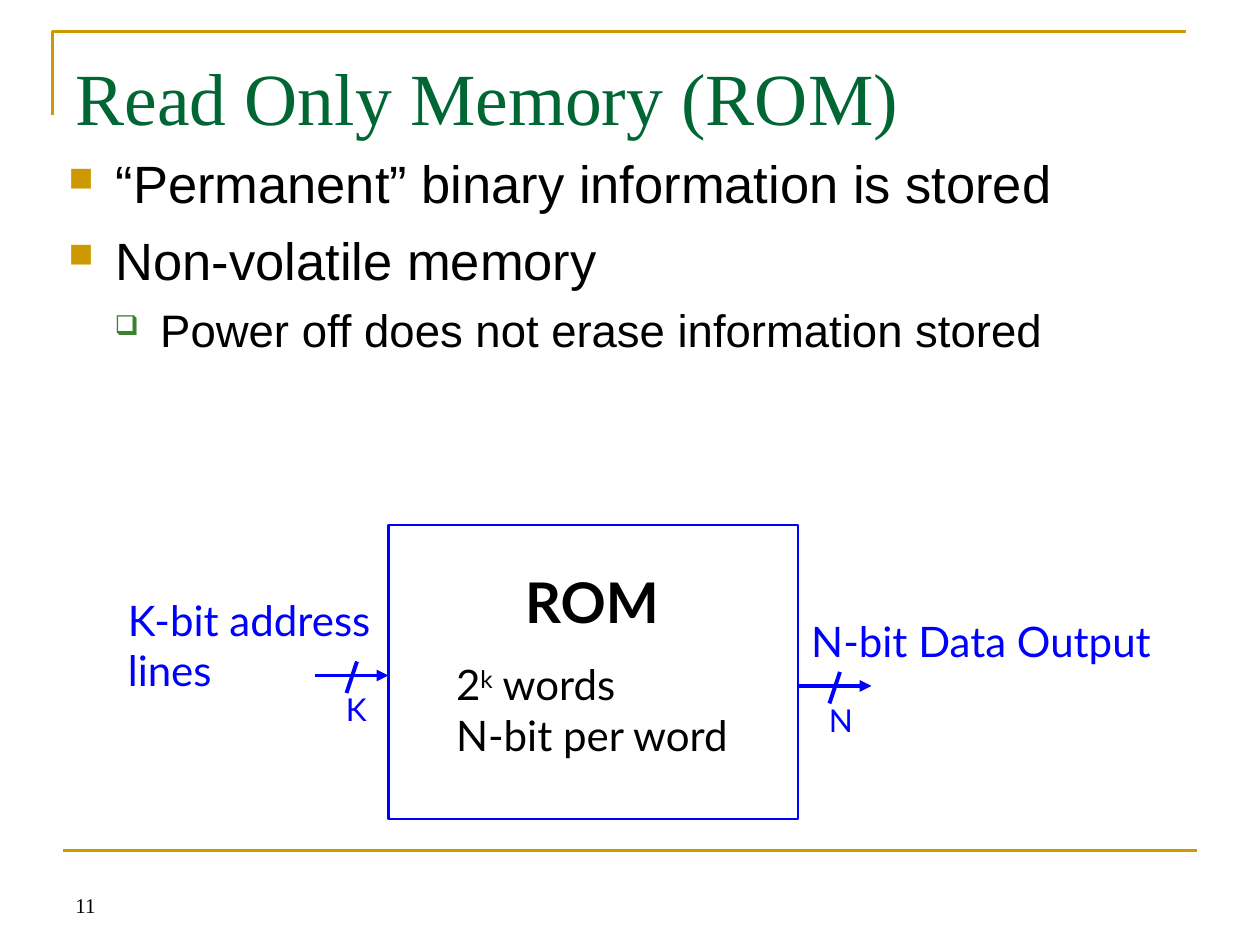
"""Build the Read Only Memory slide with its block diagram."""
from dataclasses import dataclass

from lxml.etree import SubElement
from pptx import Presentation
from pptx.dml.color import RGBColor as RGB
from pptx.enum.shapes import MSO_CONNECTOR as Connector, MSO_SHAPE as Shape
from pptx.enum.text import MSO_ANCHOR as Anchor, MSO_AUTO_SIZE as AutoSize, PP_ALIGN as Align
from pptx.oxml.ns import qn
from pptx.util import Pt


@dataclass(frozen=True)
class Theme:
    gold: str = "CC9900"
    green: str = "006633"
    leaf: str = "3B812F"
    blue: str = "0000FF"
    black: str = "000000"
    serif: str = "Times New Roman"
    sans: str = "Arial"
    diagram: str = "Lato"
    title: float = 42
    bullet: float = 30
    sub_bullet: float = 26
    heading: float = 32
    label: float = 24
    small: float = 18
    number: float = 12
    thin: float = 1.5
    thick: float = 2.25


class SlideBuilder:
    def __init__(self, theme, slide):
        self.theme = theme
        self.slide = slide

    def font(self, paragraph, size, face, color, bold=False):
        for run in paragraph.runs:
            run.font.size = Pt(size)
            run.font.name = face
            run.font.bold = bold
            run.font.color.rgb = RGB.from_string(color)

    def outline(self, shape, color, width):
        shape.line.color.rgb = RGB.from_string(color)
        shape.line.width = Pt(width)

    def title(self, words, left, top, width, height):
        heading = self.slide.shapes.title
        heading.left, heading.top = Pt(left), Pt(top)
        heading.width, heading.height = Pt(width), Pt(height)
        frame = heading.text_frame
        frame.text = words
        frame.auto_size = AutoSize.NONE
        frame.vertical_anchor = Anchor.TOP
        frame.margin_top = Pt(8)
        frame.paragraphs[0].alignment = Align.LEFT
        self.font(frame.paragraphs[0], self.theme.title, self.theme.serif, self.theme.green)

    def text(self, words, left, top, width, height, size, color, face=None, bold=False, wrap=False):
        box = self.slide.shapes.add_textbox(Pt(left), Pt(top), Pt(width), Pt(height))
        frame = box.text_frame
        frame.text = words
        frame.word_wrap = wrap
        for paragraph in frame.paragraphs:
            self.font(paragraph, size, face or self.theme.diagram, color, bold)
        return frame

    def capacity(self, left, top, width, height):
        frame = self.text("2\nN-bit per word", left, top, width, height,
                          self.theme.label, self.theme.black)
        words = frame.paragraphs[0]
        exponent, unit = words.add_run(), words.add_run()
        exponent.text, unit.text = "k", " words"
        self.font(words, self.theme.label, self.theme.diagram, self.theme.black)
        exponent.font._element.set("baseline", "30000")

    def bullets(self, points, left, top, width, height):
        look = self.theme
        levels = (
            (look.bullet, 27, 27, 7.5, "■", look.gold, 65),
            (look.sub_bullet, 52.5, 26, 6.5, "❑", look.leaf, 60),
        )
        frame = self.text("\n".join(words for words, _ in points), left, top, width, height,
                          look.bullet, look.black, look.sans, wrap=True)
        for paragraph, (_, level) in zip(frame.paragraphs, points):
            size, margin, hang, before, mark, color, scale = levels[level]
            paragraph.level = level
            paragraph.space_before = Pt(before)
            self.font(paragraph, size, look.sans, look.black)
            properties = paragraph._p.get_or_add_pPr()
            properties.set("marL", str(Pt(margin)))
            properties.set("indent", str(-Pt(hang)))
            tint = SubElement(properties, qn("a:buClr"))
            SubElement(tint, qn("a:srgbClr"), val=color)
            SubElement(properties, qn("a:buSzPct"), val=str(scale * 1000))
            SubElement(properties, qn("a:buChar"), char=mark)

    def line(self, start, end, color, width, arrow=False):
        stroke = self.slide.shapes.add_connector(
            Connector.STRAIGHT, *(Pt(value) for value in (*start, *end)))
        self.outline(stroke, color, width)
        if arrow:
            SubElement(stroke.line._get_or_add_ln(), qn("a:tailEnd"), type="triangle")
        SubElement(stroke._element.spPr, qn("a:effectLst"))

    def corner(self, left, top, right, bottom):
        pen = self.slide.shapes.build_freeform(Pt(left), Pt(bottom))
        pen.add_line_segments([(Pt(left), Pt(top)), (Pt(right), Pt(top))], close=False)
        frame_line = pen.convert_to_shape()
        frame_line.shadow.inherit = False
        frame_line.fill.background()
        self.outline(frame_line, self.theme.gold, self.theme.thin)

    def block(self, left, top, width, height):
        memory = self.slide.shapes.add_shape(
            Shape.RECTANGLE, Pt(left), Pt(top), Pt(width), Pt(height))
        memory.shadow.inherit = False
        memory.fill.background()
        self.outline(memory, self.theme.blue, self.theme.thin)

    def bus(self, left, middle, bits):
        look = self.theme
        self.line((left, middle), (left + 42, middle), look.blue, look.thick, arrow=True)
        self.line((left + 24, middle - 8), (left + 18, middle + 10), look.blue, look.thick)
        self.text(bits, left + 10.5, middle + 5, 27, 29, look.small, look.blue)


def main():
    theme = Theme()
    deck = Presentation()
    deck.slide_width, deck.slide_height = Pt(720), Pt(540)
    title_only = deck.slide_layouts[5]
    page = SlideBuilder(theme, deck.slides.add_slide(title_only))

    page.corner(30, 18, 678, 66)
    page.line((36, 486), (684, 486), theme.gold, theme.thin)
    number = page.text("11", 36, 492, 168, 36, theme.number, theme.black, theme.serif, wrap=True)
    number.vertical_anchor = Anchor.BOTTOM
    page.title("Read Only Memory (ROM)", 36, 21.5, 648, 90)
    page.bullets([
        ("“Permanent” binary information is stored", 0),
        ("Non-volatile memory", 0),
        ("Power off does not erase information stored", 1),
    ], 32, 83, 657, 163)

    page.block(222, 300, 234, 168)
    page.capacity(253.5, 373, 178.5, 65)
    page.text("ROM", 293, 320.5, 91.5, 46, theme.heading, theme.black, bold=True)
    page.text("N-bit Data Output", 456.5, 348, 216, 36, theme.label, theme.blue)
    page.text("K-bit address lines", 66, 336, 156, 94, theme.label, theme.blue, wrap=True)
    page.bus(456, 392, "N")
    page.bus(180, 386, "K")
    deck.save("out.pptx")


if __name__ == "__main__":
    main()
